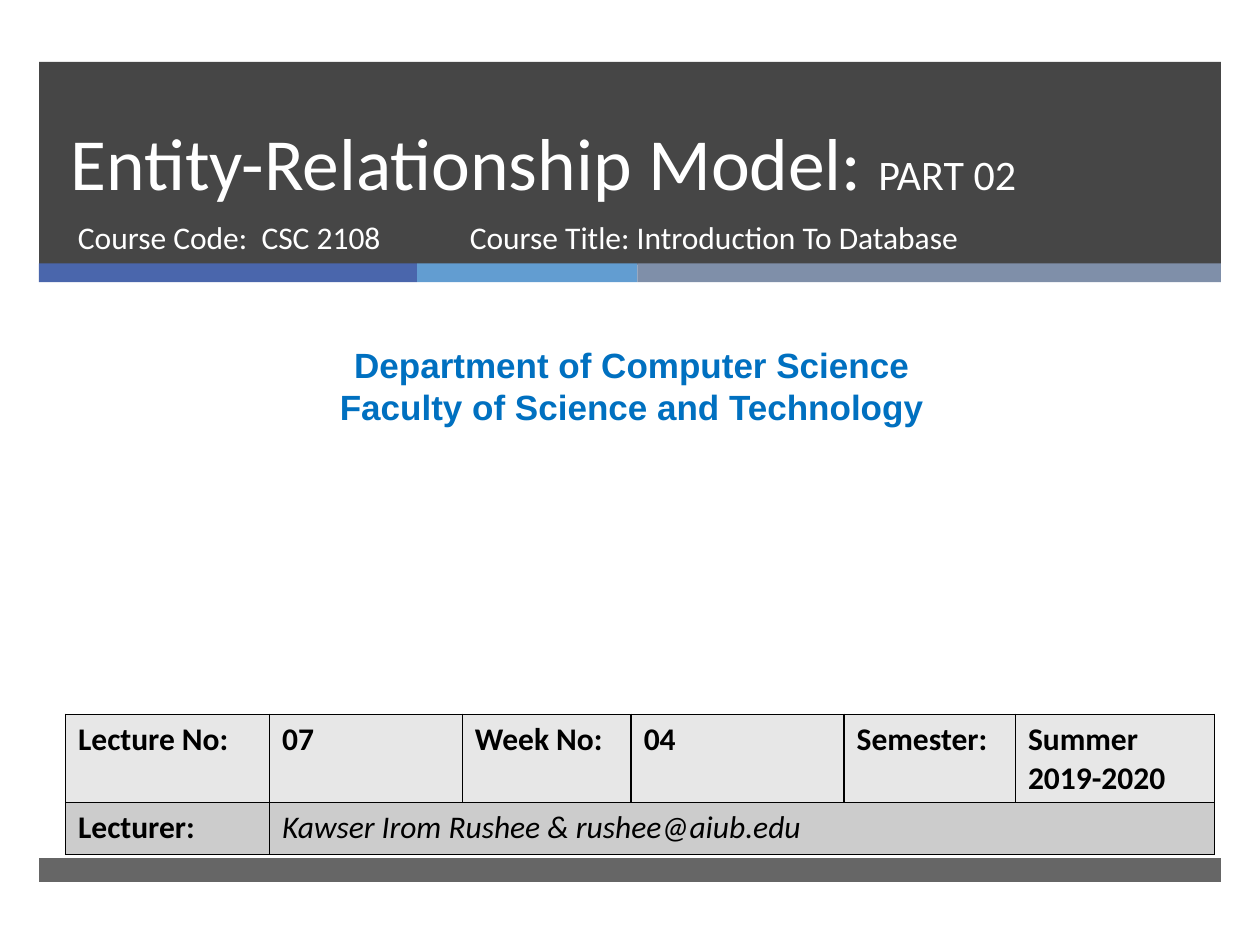
from lxml.etree import SubElement
from pptx import Presentation
from pptx.dml.color import RGBColor
from pptx.enum.shapes import MSO_SHAPE
from pptx.enum.text import MSO_ANCHOR, PP_ALIGN
from pptx.oxml import parse_xml
from pptx.oxml.ns import nsdecls, qn
from pptx.util import Inches, Pt


def color(value):
    return RGBColor.from_string(value)


def style(paragraph, size, name, value, bold=False, italic=False):
    font = paragraph.font
    font.size, font.name, font.color.rgb = Pt(size), name, color(value)
    font.bold, font.italic = bold, italic


presentation = Presentation()
presentation.slide_width, presentation.slide_height = Inches(10), Inches(7.5)
slide = presentation.slides.add_slide(presentation.slide_layouts[5])

margin = 0.31
full_width = 10 - 2 * margin
stripe_top, stripe_height = 2.09, 0.15
stripe_edges = [margin, 3.31, 5.06, margin + full_width]
bands = [(margin, 0.49, full_width, 1.61, "262626", 85)]
for left, right, fill in zip(stripe_edges, stripe_edges[1:], ["4A66AC", "629DD1", "7F8FA9"]):
    bands.append((left, stripe_top, right - left, stripe_height, fill, 100))
bands.append((margin, 6.81, full_width, 0.19, "262626", 70))

for left, top, width, height, fill, opacity in bands:
    band = slide.shapes.add_shape(
        MSO_SHAPE.RECTANGLE, Inches(left), Inches(top), Inches(width), Inches(height))
    band.shadow.inherit = False
    band.fill.solid()
    band.fill.fore_color.rgb = color(fill)
    band.line.fill.background()
    if opacity < 100:
        solid_color = band.fill._xPr.find(qn("a:solidFill"))[0]
        SubElement(solid_color, qn("a:alpha")).set("val", str(opacity * 1000))

title = slide.shapes.title
title.left, title.top, title.width, title.height = map(Inches, (0.46, 0.49, 8.54, 1.19))
title.text_frame.word_wrap = True
title.text_frame.vertical_anchor = MSO_ANCHOR.BOTTOM
paragraph = title.text_frame.paragraphs[0]
paragraph.alignment = PP_ALIGN.LEFT
paragraph.line_spacing = Pt(46)
style(paragraph, 42, "Calibri", "FFFFFF")
paragraph.add_run().text = "Entity-Relationship Model: "
part = paragraph.add_run()
part.text = "PART 02"
part.font.size = Pt(24)
slide.shapes._spTree.append(title._element)

text_boxes = [
    (0.52, 1.68, 3.05, 0.53, ["Course Code:  CSC 2108"],
     (18, "Calibri", "FFFFFF"), PP_ALIGN.LEFT),
    (3.63, 1.68, 4.55, 0.53, ["Course Title: Introduction To Database"],
     (18, "Calibri", "FFFFFF"), PP_ALIGN.LEFT),
    (0.08, 2.68, 9.87, 0.77,
     ["Department of Computer Science", "Faculty of Science and Technology"],
     (20, "Arial", "0070C0", True), PP_ALIGN.CENTER),
]
for left, top, width, height, lines, look, alignment in text_boxes:
    frame = slide.shapes.add_textbox(
        Inches(left), Inches(top), Inches(width), Inches(height)).text_frame
    frame.word_wrap = True
    for index, line in enumerate(lines):
        paragraph = frame.add_paragraph() if index else frame.paragraphs[0]
        paragraph.text = line
        paragraph.alignment = alignment
        style(paragraph, *look)

column_widths = [1.62, 1.53, 1.34, 1.69, 1.36, 1.58]
row_heights = [0.7, 0.41]
row_fills = ["E7E7E7", "CCCCCC"]
rows = [
    ["Lecture No:", "07", "Week No:", "04", "Semester:", "Summer 2019-2020"],
    ["Lecturer:", "Kawser Irom Rushee & rushee@aiub.edu", "", "", "", ""],
]
table = slide.shapes.add_table(
    len(rows), len(column_widths), Inches(0.52), Inches(5.67),
    Inches(sum(column_widths)), Inches(sum(row_heights))).table
for column, width in zip(table.columns, column_widths):
    column.width = Inches(width)
for row, height in zip(table.rows, row_heights):
    row.height = Inches(height)
table.cell(1, 1).merge(table.cell(1, 5))

for row_index, texts in enumerate(rows):
    for column_index, text in enumerate(texts):
        cell = table.cell(row_index, column_index)
        is_lecturer = row_index == 1 and column_index > 0
        paragraph = cell.text_frame.paragraphs[0]
        paragraph.text = text
        style(paragraph, 18, "Calibri", "000000", not is_lecturer, is_lecturer)
        properties = cell._tc.get_or_add_tcPr()
        for side in ("lnL", "lnR", "lnT", "lnB"):
            properties.append(parse_xml(
                f'<a:{side} {nsdecls("a")} w="12700"><a:solidFill>'
                f'<a:srgbClr val="000000"/></a:solidFill></a:{side}>'))
        cell.fill.solid()
        cell.fill.fore_color.rgb = color(row_fills[row_index])

presentation.save("out.pptx")
